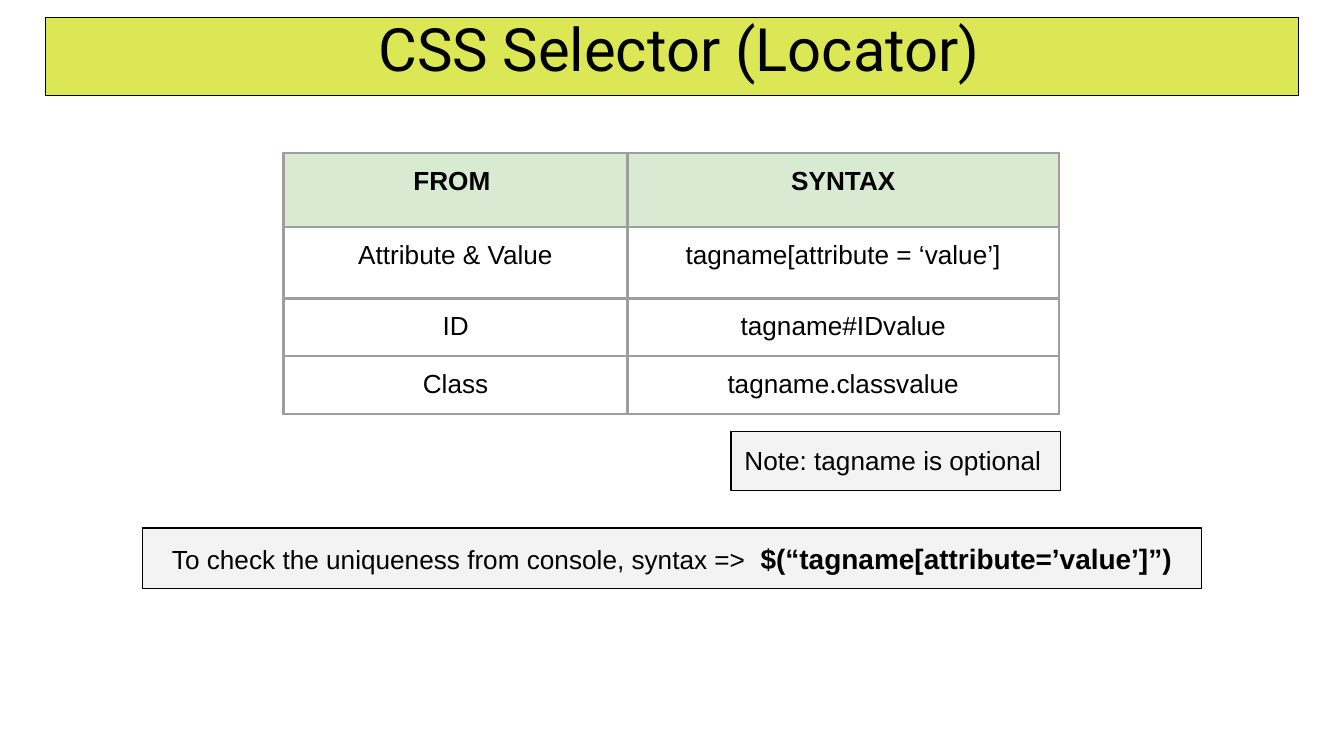
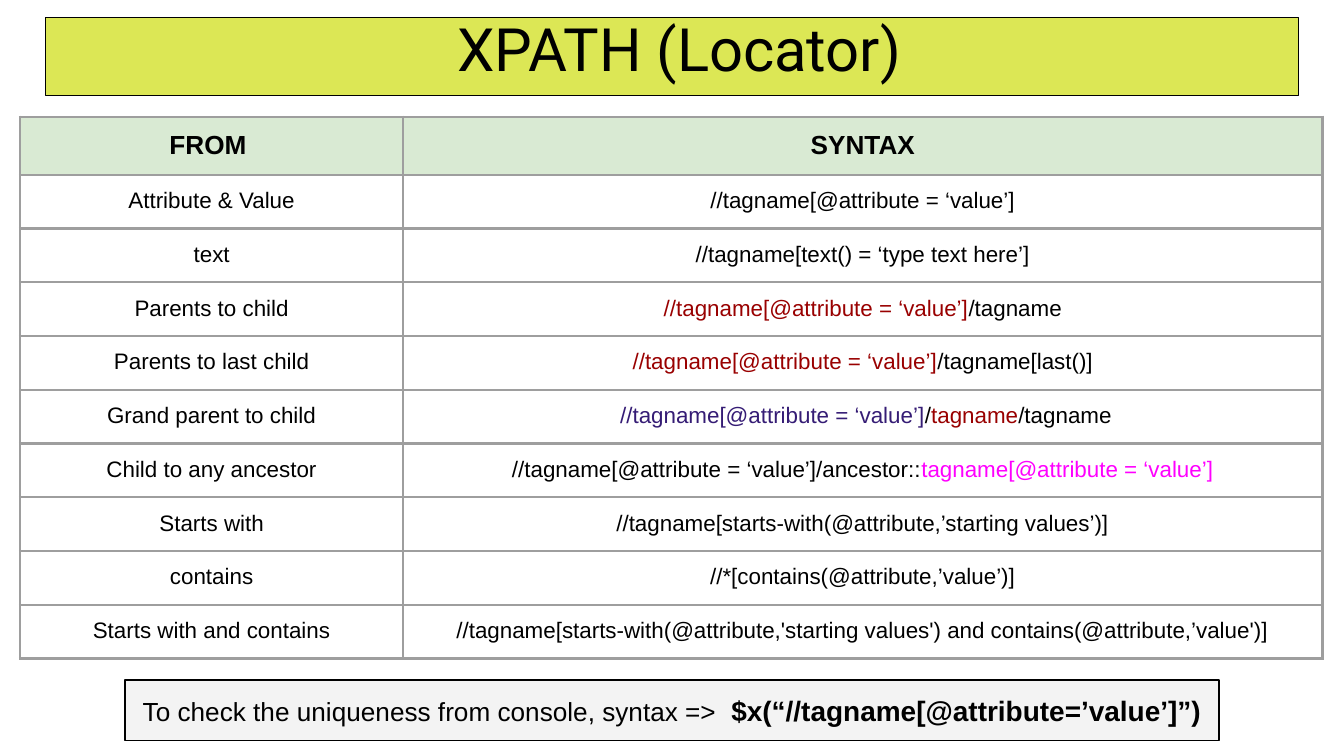
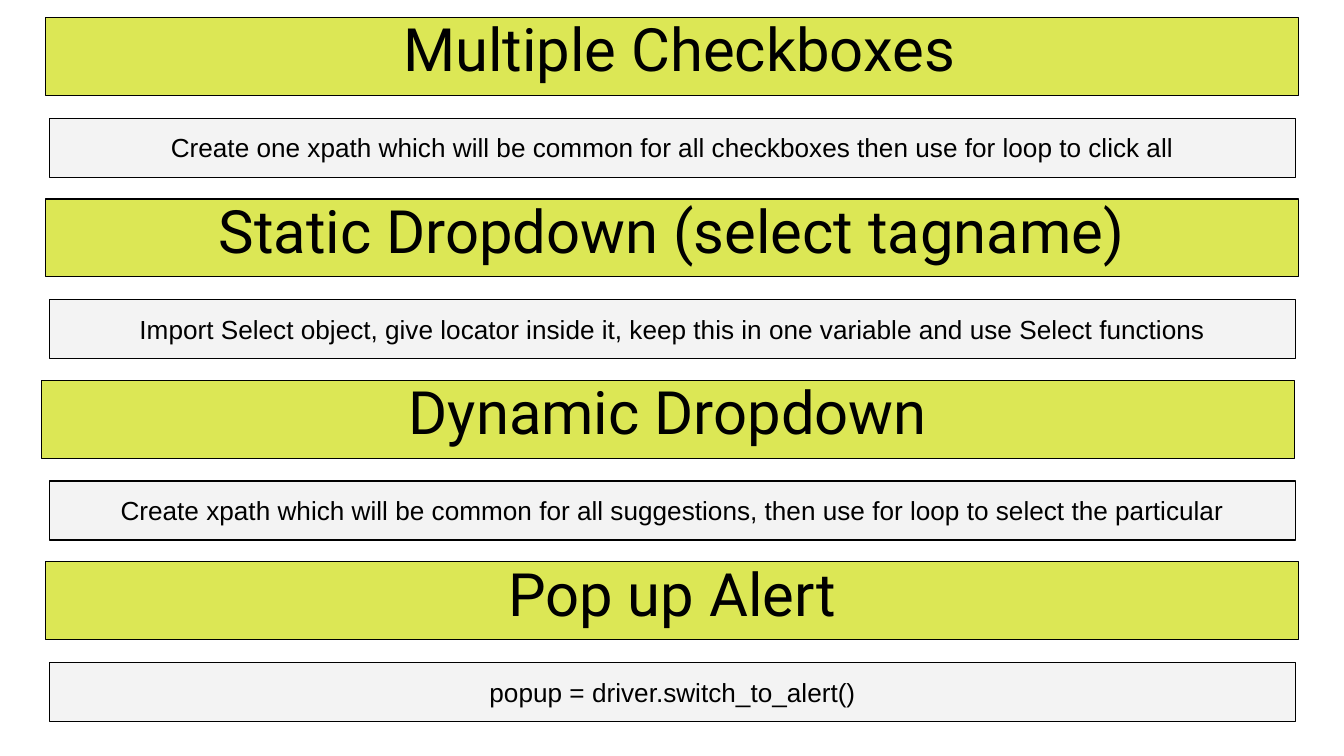
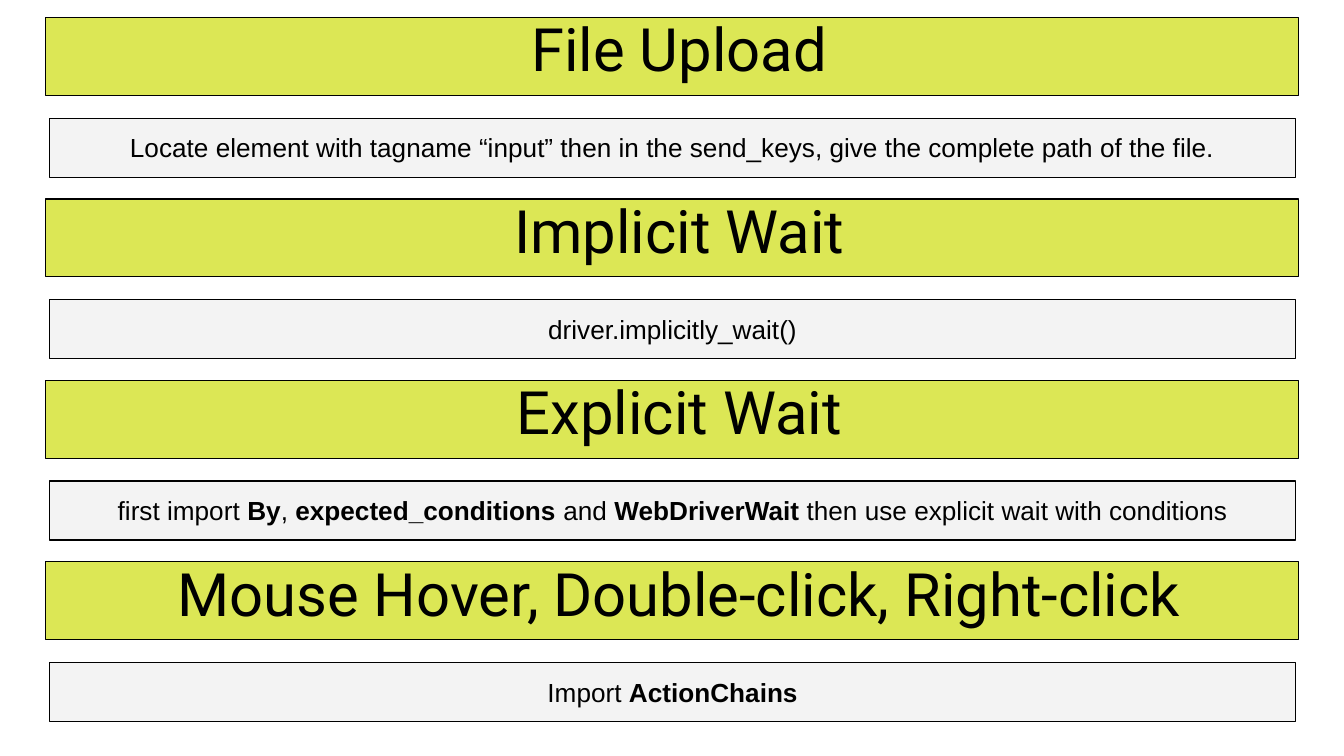
from lxml.etree import SubElement
from pptx import Presentation
from pptx.dml.color import RGBColor
from pptx.enum.shapes import MSO_SHAPE
from pptx.enum.text import MSO_ANCHOR, MSO_AUTO_SIZE, PP_ALIGN
from pptx.oxml.ns import qn
from pptx.util import Inches, Pt

COLORS = {
    "band": "DCE755", "note": "F3F3F3", "header": "D9EAD3", "border": "9E9E9E",
    "black": "000000", "red": "990000", "indigo": "351C75", "magenta": "FF00FF",
}
BAND_FORMAT = {"name": "Roboto", "size": Pt(32)}
BODY_FORMAT = {"name": "Arial", "size": Pt(14), "bold": False}
BOLD = {"bold": True}
SYNTAX_FORMAT = {"size": Pt(15), "bold": True}

SLIDE_WIDTH = Inches(10)
SLIDE_HEIGHT = SLIDE_WIDTH * 9 // 16
BAND_LEFT, BAND_TOP, BAND_WIDTH, BAND_HEIGHT = 0.34, 0.13, 9.32, 0.58
NOTE_LEFT, NOTE_WIDTH, NOTE_HEIGHT = 0.37, 9.27, 0.44
NOTE_OFFSET, TOPIC_PITCH = 0.75, 1.35
INSET = Inches(0.1)

# Text is a list of (words, format changes) runs, or a plain string.
CONSOLE_HINT = "To check the uniqueness from console, syntax =>  "
ATTRIBUTE_PATH = "//tagname[@attribute = ‘value’]"
RED, INDIGO, MAGENTA = ({"color": name} for name in ("red", "indigo", "magenta"))
HEADINGS = ("FROM ", "SYNTAX")

LOCATOR_SLIDES = [
    {
        "title": " CSS Selector (Locator)",
        "table": {
            "at": (2.11, 1.14), "columns": (2.56, 3.21),
            "row_heights": (0.55, 0.53, 0.43, 0.43), "size": Pt(14),
            "rows": [
                ("Attribute & Value", "tagname[attribute = ‘value’]"),
                ("ID", "tagname#IDvalue"),
                ("Class", "tagname.classvalue"),
            ],
        },
        "notes": [
            ("Note: tagname is optional", (5.44, 3.21, 2.45, 0.44), PP_ALIGN.LEFT),
            ([(CONSOLE_HINT, {}), ("$(“tagname[attribute=’value’]”)", SYNTAX_FORMAT)],
             (1.06, 3.93, 7.88, 0.45), PP_ALIGN.CENTER),
        ],
    },
    {
        "title": " XPATH (Locator)",
        "table": {
            "at": (0.15, 0.87), "columns": (2.85, 6.84),
            "row_heights": (0.43,) + (0.4,) * 9, "size": Pt(12),
            "rows": [
                ("Attribute & Value", ATTRIBUTE_PATH),
                ("text", "//tagname[text() = ‘type text here’]"),
                ("Parents to child", [(ATTRIBUTE_PATH, RED), ("/tagname", {})]),
                ("Parents to last child",
                 [(ATTRIBUTE_PATH, RED), ("/tagname[last()]", {})]),
                ("Grand parent to child",
                 [(" " + ATTRIBUTE_PATH, INDIGO), ("/", {}), ("tagname", RED),
                  ("/tagname", {})]),
                ("Child to any ancestor",
                 [(ATTRIBUTE_PATH + "/ancestor::", {}),
                  ("tagname[@attribute = ‘value’]", MAGENTA)]),
                ("Starts with", "//tagname[starts-with(@attribute,’starting values’)]"),
                ("contains", "//*[contains(@attribute,’value’)]"),
                ("Starts with and contains",
                 "//tagname[starts-with(@attribute,'starting values') "
                 "and contains(@attribute,’value')]"),
            ],
        },
        "notes": [
            ([(CONSOLE_HINT, {}), ("$x(“//tagname[@attribute=’value’]”)", SYNTAX_FORMAT)],
             (0.93, 5.06, 8.14, 0.45), PP_ALIGN.CENTER),
        ],
    },
]

# Each topic: band text, note text, and the band's left edge where it differs.
TOPIC_SLIDES = [
    [
        (" Multiple Checkboxes",
         "Create one xpath which will be common for all checkboxes "
         "then use for loop to click all"),
        (" Static Dropdown (select tagname) ",
         "Import Select object, give locator inside it, "
         "keep this in one variable and use Select functions"),
        (" Dynamic Dropdown ",
         "Create xpath which will be common for all suggestions, "
         "then use for loop to select the particular", 0.31),
        (" Pop up Alert ", "popup = driver.switch_to_alert()"),
    ],
    [
        (" File Upload",
         "Locate element with tagname “input” then in the send_keys, "
         "give the complete path of the file."),
        (" Implicit Wait", "driver.implicitly_wait()"),
        (" Explicit Wait",
         [("first import ", {}), ("By", BOLD), (", ", {}),
          ("expected_conditions", BOLD), (" and ", {}), ("WebDriverWait ", BOLD),
          ("then use explicit wait with conditions", {})]),
        (" Mouse Hover, Double-click, Right-click",
         [("Import ", {}), ("ActionChains", BOLD)]),
    ],
]


def rgb(name):
    return RGBColor.from_string(COLORS[name])


def write(paragraph, text, base, align=PP_ALIGN.CENTER):
    paragraph.alignment = align
    runs = [(text, {})] if isinstance(text, str) else text
    for words, changes in runs:
        run = paragraph.add_run()
        run.text = words
        values = {"color": "black", **base, **changes}
        run.font.color.rgb = rgb(values.pop("color"))
        for attribute, value in values.items():
            setattr(run.font, attribute, value)


def style_box(shape, fill, anchor, auto_size):
    shape.fill.solid()
    shape.fill.fore_color.rgb = rgb(fill)
    shape.line.color.rgb = rgb("black")
    shape.line.width = Pt(0.75)
    frame_format = {
        "word_wrap": True, "vertical_anchor": anchor, "auto_size": auto_size,
        "margin_left": INSET, "margin_right": INSET,
        "margin_top": INSET, "margin_bottom": INSET,
    }
    for attribute, value in frame_format.items():
        setattr(shape.text_frame, attribute, value)


def add_rectangle(slide, box):
    shape = slide.shapes.add_shape(MSO_SHAPE.RECTANGLE, *map(Inches, box))
    shape.shadow.inherit = False
    return shape


def add_band(slide, text, left=BAND_LEFT, top=BAND_TOP):
    """Add a heading band; the topmost one is the slide title."""
    box = (left, top, BAND_WIDTH, BAND_HEIGHT)
    if top == BAND_TOP:
        band = slide.shapes.title
        band.left, band.top, band.width, band.height = map(Inches, box)
    else:
        band = add_rectangle(slide, box)
    style_box(band, "band", MSO_ANCHOR.BOTTOM, MSO_AUTO_SIZE.NONE)
    paragraph = band.text_frame.paragraphs[0]
    paragraph.line_spacing = 0.7
    write(paragraph, text, BAND_FORMAT)


def add_note(slide, text, box, align=PP_ALIGN.CENTER):
    note = add_rectangle(slide, box)
    style_box(note, "note", MSO_ANCHOR.TOP, MSO_AUTO_SIZE.SHAPE_TO_FIT_TEXT)
    write(note.text_frame.paragraphs[0], text, BODY_FORMAT, align)


def add_borders(cell):
    properties = cell._tc.get_or_add_tcPr()
    for side in ("a:lnL", "a:lnR", "a:lnT", "a:lnB"):
        line = SubElement(properties, qn(side), w=str(Pt(1.5)))
        fill = SubElement(line, qn("a:solidFill"))
        SubElement(fill, qn("a:srgbClr"), val=COLORS["border"])


def add_syntax_table(slide, at, columns, row_heights, size, rows):
    box = (*at, sum(columns), sum(row_heights))
    table = slide.shapes.add_table(
        len(row_heights), len(columns), *map(Inches, box)).table
    table.first_row = table.horz_banding = False
    for column, width in zip(table.columns, columns):
        column.width = Inches(width)
    for index, texts in enumerate([HEADINGS, *rows]):
        table.rows[index].height = Inches(row_heights[index])
        base = {**BODY_FORMAT, **(BOLD if index == 0 else {"size": size})}
        for cell, text in zip(table.rows[index].cells, texts):
            add_borders(cell)
            if index == 0:
                cell.fill.solid()
                cell.fill.fore_color.rgb = rgb("header")
            else:
                cell.fill.background()
            for side in ("left", "right", "top", "bottom"):
                setattr(cell, f"margin_{side}", INSET)
            write(cell.text_frame.paragraphs[0], text, base)


def add_topic(slide, index, heading, note, left=BAND_LEFT):
    top = BAND_TOP + index * TOPIC_PITCH
    add_band(slide, heading, left, top)
    add_note(slide, note, (NOTE_LEFT, top + NOTE_OFFSET, NOTE_WIDTH, NOTE_HEIGHT))


def main():
    presentation = Presentation()
    presentation.slide_width = SLIDE_WIDTH
    presentation.slide_height = SLIDE_HEIGHT
    title_only = presentation.slide_layouts[5]

    for content in LOCATOR_SLIDES:
        slide = presentation.slides.add_slide(title_only)
        add_band(slide, content["title"])
        add_syntax_table(slide, **content["table"])
        for note in content["notes"]:
            add_note(slide, *note)

    for topics in TOPIC_SLIDES:
        slide = presentation.slides.add_slide(title_only)
        for index, topic in enumerate(topics):
            add_topic(slide, index, *topic)

    presentation.save("out.pptx")


if __name__ == "__main__":
    main()
